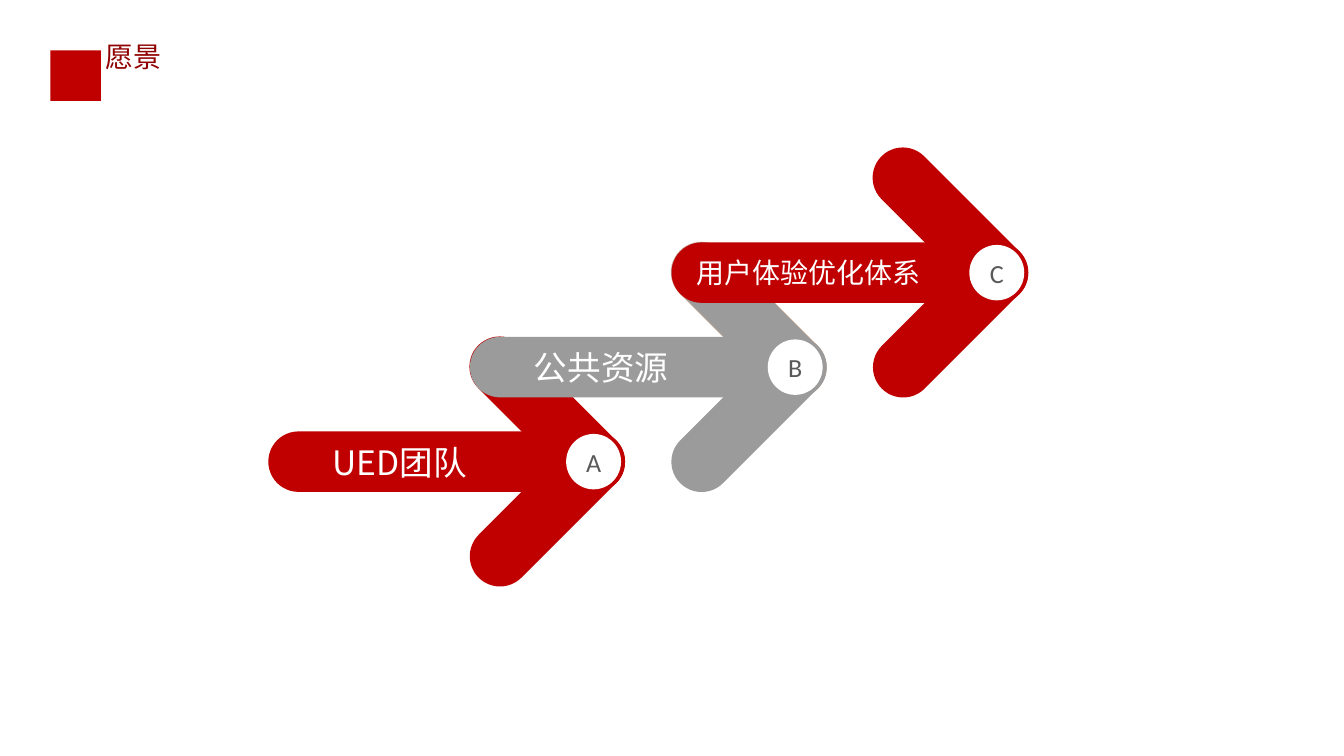
"""Build the vision slide: three arrows climbing from team to system."""
from dataclasses import dataclass

from lxml.etree import SubElement
from pptx import Presentation
from pptx.dml.color import RGBColor
from pptx.enum.shapes import MSO_SHAPE
from pptx.enum.text import MSO_ANCHOR, MSO_AUTO_SIZE, PP_ALIGN
from pptx.oxml.ns import qn
from pptx.util import Inches, Pt


@dataclass(frozen=True)
class Theme:
    red: str = "C00000"
    title_red: str = "900000"
    gray: str = "9B9B9B"
    edge: str = "EAC0A8"
    white: str = "FFFFFF"
    dark: str = "595959"
    chinese: str = "Noto Sans CJK SC"
    latin: str = "Calibri"
    title_size: float = 40
    large_size: float = 48
    long_size: float = 40
    letter_size: float = 37.3


THEME = Theme()
SLIDE_WIDTH, SLIDE_HEIGHT = 26.67, 15
TITLE = "愿景"
STEPS = [
    {"letter": "A", "label": "UED团队", "fill": THEME.red, "size": THEME.large_size, "indent": 0, "edge": None},
    {"letter": "B", "label": "公共资源", "fill": THEME.gray, "size": THEME.large_size, "indent": 0, "edge": THEME.edge},
    {"letter": "C", "label": "用户体验优化体系", "fill": THEME.red, "size": THEME.long_size, "indent": 0.24, "edge": None},
]
FIRST_LEFT, FIRST_TOP = 0.2 * SLIDE_WIDTH - 0.01, 0.57 * SLIDE_HEIGHT + 0.01
STEP_RIGHT, STEP_UP = 0.15 * SLIDE_WIDTH, 0.125 * SLIDE_HEIGHT
BAR_WIDTH, BAR_HEIGHT, LABEL_INSET = 7.08, 1.2, 1.87
ARMS = [(3.6, -0.94, 3.87, 45), (3.61, 0.94, 3.85, 135)]
BADGE = (5.91, 0.05, 1.09, 1.1)
PENCIL_ICON = [
    [(1.59, 1.5), (1.07, 1.5), (1.03, 1.45), (1.03, 0.89), (1.07, 0.84), (1.17, 0.84),
     (1.17, 0.89), (1.07, 0.89), (1.07, 0.93), (1.17, 0.93), (1.17, 0.98), (1.07, 0.98),
     (1.07, 1.45), (1.59, 1.45), (1.59, 1.17), (1.64, 1.12), (1.64, 1.45)],
    [(1.36, 0.93), (1.31, 0.98), (1.22, 0.98), (1.22, 0.79), (1.45, 0.79), (1.45, 0.84)],
    [(1.36, 0.86), (1.36, 0.84), (1.31, 0.84), (1.31, 0.89), (1.36, 0.89)],
    [(1.64, 0.98), (1.55, 0.89), (1.59, 0.84), (1.64, 0.84), (1.69, 0.89), (1.69, 0.93)],
    [(1.26, 1.36), (1.17, 1.27), (1.5, 0.93), (1.59, 1.03)],
    [(1.22, 1.36), (1.12, 1.41), (1.17, 1.31)],
]


def paint(shape, fill, edge=None):
    shape.shadow.inherit = False
    shape.fill.solid()
    shape.fill.fore_color.rgb = RGBColor.from_string(fill)
    if edge:
        shape.line.color.rgb = RGBColor.from_string(edge)
        shape.line.width = Pt(0.5)
    else:
        shape.line.fill.background()


def write(shape, text, font_name, size, color, alignment=PP_ALIGN.CENTER):
    paragraph = shape.text_frame.paragraphs[0]
    paragraph.alignment = alignment
    run = paragraph.add_run()
    run.text = text
    run.font.name = font_name
    run.font.size = Pt(size)
    run.font.color.rgb = RGBColor.from_string(color)
    SubElement(run.font._element, qn("a:ea"), typeface=font_name)


def add_preset(shapes, kind, left, top, width, height, fill, edge=None):
    shape = shapes.add_shape(kind, Inches(left), Inches(top), Inches(width), Inches(height))
    paint(shape, fill, edge)
    return shape


def add_pill(shapes, left, top, width, fill, edge=None):
    pill = add_preset(shapes, MSO_SHAPE.ROUNDED_RECTANGLE, left, top, width, BAR_HEIGHT, fill, edge)
    pill.adjustments[0] = 0.5
    return pill


def add_title(shapes):
    first, *others = PENCIL_ICON
    builder = shapes.build_freeform(*first[0], scale=Inches(1))
    builder.add_line_segments(first[1:], close=True)
    for contour in others:
        builder.move_to(*contour[0])
        builder.add_line_segments(contour[1:], close=True)
    paint(builder.convert_to_shape(), THEME.red)
    box = shapes.add_textbox(Inches(1.99), Inches(0.73), Inches(1.32), Inches(0.77))
    box.text_frame.word_wrap = False
    box.text_frame.auto_size = MSO_AUTO_SIZE.SHAPE_TO_FIT_TEXT
    write(box, TITLE, THEME.chinese, THEME.title_size, THEME.title_red, PP_ALIGN.LEFT)


def add_step(slide, index, step):
    shapes = slide.shapes.add_group_shape().shapes
    left, top = FIRST_LEFT + index * STEP_RIGHT, FIRST_TOP - index * STEP_UP
    for (across, down, width, angle), edge in zip(ARMS, (step["edge"], None)):
        arm = add_pill(shapes, left + across, top + down, width, step["fill"], edge)
        arm.rotation = angle
    bar = add_pill(shapes, left, top, BAR_WIDTH, step["fill"])
    frame = bar.text_frame
    frame.word_wrap = True
    frame.vertical_anchor = MSO_ANCHOR.MIDDLE
    frame.margin_top = frame.margin_bottom = 0
    frame.margin_left, frame.margin_right = Inches(step["indent"]), Inches(LABEL_INSET)
    write(bar, step["label"], THEME.chinese, step["size"], THEME.white)
    across, down, width, height = BADGE
    badge = add_preset(shapes, MSO_SHAPE.OVAL, left + across, top + down, width, height, THEME.white)
    badge.text_frame.word_wrap = False
    badge.text_frame.vertical_anchor = MSO_ANCHOR.MIDDLE
    write(badge, step["letter"], THEME.latin, THEME.letter_size, THEME.dark)


def main():
    presentation = Presentation()
    presentation.slide_width, presentation.slide_height = Inches(SLIDE_WIDTH), Inches(SLIDE_HEIGHT)
    slide = presentation.slides.add_slide(presentation.slide_layouts[6])
    add_title(slide.shapes)
    for index, step in enumerate(STEPS):
        add_step(slide, index, step)
    presentation.save("out.pptx")


if __name__ == "__main__":
    main()
